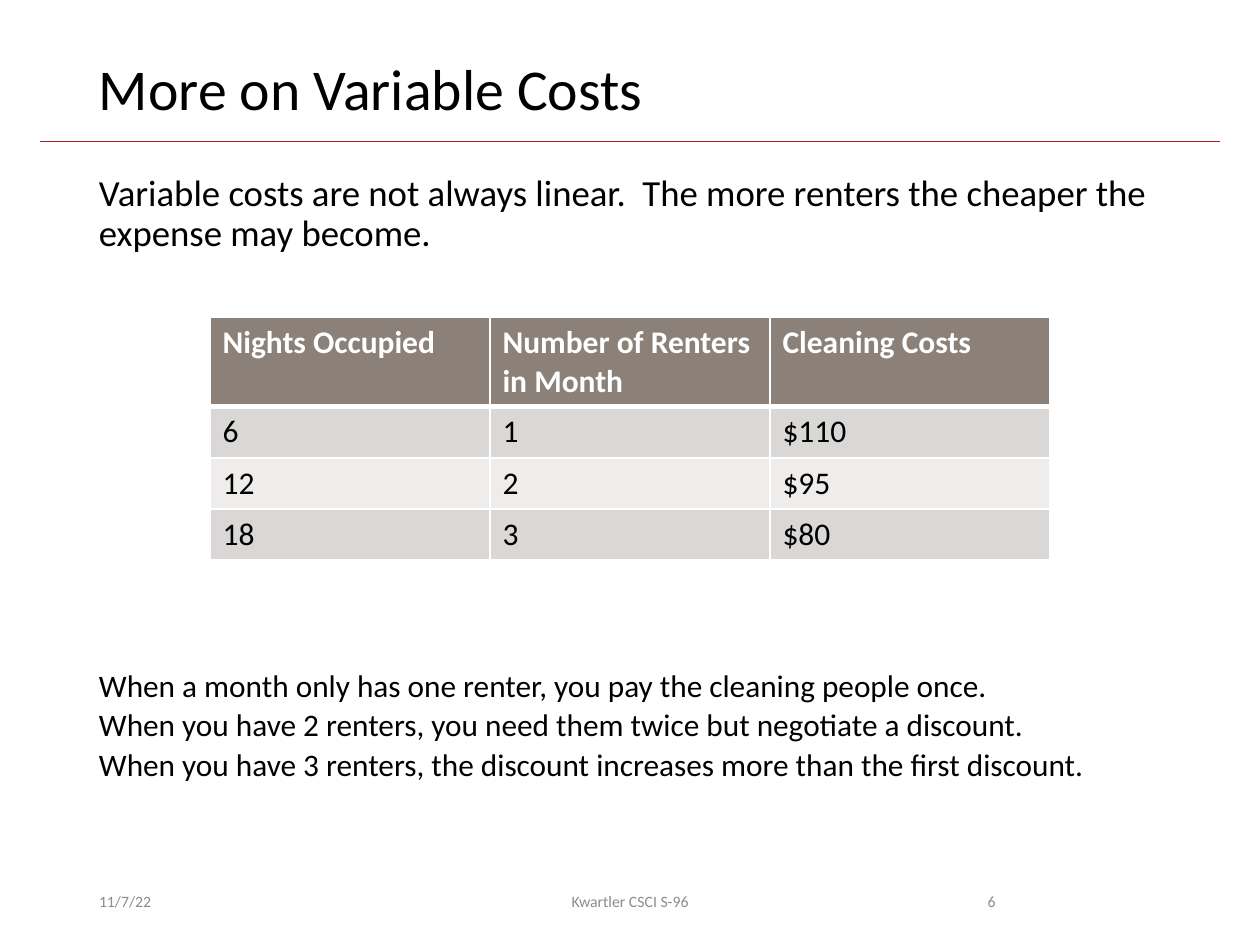
from lxml import etree
from pptx import Presentation
from pptx.dml.color import RGBColor
from pptx.enum.shapes import MSO_CONNECTOR
from pptx.enum.text import MSO_ANCHOR, PP_ALIGN
from pptx.oxml.ns import qn
from pptx.util import Pt

STRAIGHT = MSO_CONNECTOR.STRAIGHT
TOP, MIDDLE = MSO_ANCHOR.TOP, MSO_ANCHOR.MIDDLE
LEFT, CENTER, RIGHT = PP_ALIGN.LEFT, PP_ALIGN.CENTER, PP_ALIGN.RIGHT

BLACK = RGBColor(0x00, 0x00, 0x00)
WHITE = RGBColor(0xFF, 0xFF, 0xFF)
CRIMSON = RGBColor(0xA5, 0x1C, 0x30)
GRAY = RGBColor(0x8C, 0x8C, 0x8C)
TAUPE = RGBColor(0x8C, 0x81, 0x79)
BAND_DARK = RGBColor(0xDA, 0xD8, 0xD7)
BAND_LIGHT = RGBColor(0xEE, 0xED, 0xEC)

FONT = "Calibri"
MARGIN = 49.5
CONTENT_WIDTH = 621

prs = Presentation()
prs.slide_width, prs.slide_height = Pt(720), Pt(540)
slide = prs.slides.add_slide(prs.slide_layouts[6])


def style(paragraph, size, color, bold=False):
    font = paragraph.font
    font.name, font.size, font.bold = FONT, Pt(size), bold
    font.color.rgb = color


def add_text(lines, left, top, width, height, size, color=BLACK,
             anchor=TOP, align=LEFT, spacing=1.0, gap=0):
    frame = slide.shapes.add_textbox(Pt(left), Pt(top), Pt(width), Pt(height)).text_frame
    frame.word_wrap = True
    frame.vertical_anchor = anchor
    frame.text = "\n".join(lines)
    for index, paragraph in enumerate(frame.paragraphs):
        paragraph.alignment = align
        paragraph.line_spacing = spacing
        paragraph.space_before = Pt(gap if index else 0)
        style(paragraph, size, color)


title_rule = slide.shapes.add_connector(STRAIGHT, Pt(23), Pt(80.7), Pt(697), Pt(80.7))
title_rule.line.color.rgb = CRIMSON
title_rule.line.width = Pt(0.5)
etree.SubElement(title_rule._element.spPr, qn("a:effectLst"))

add_text(["More on Variable Costs"], MARGIN, 28.8, CONTENT_WIDTH, 46.8, 33,
         anchor=MIDDLE, spacing=0.9)
add_text(["Variable costs are not always linear.  The more renters the cheaper "
          "the expense may become."],
         MARGIN, 96.5, CONTENT_WIDTH, 73.5, 21, spacing=0.9)

costs = [
    ("Nights Occupied", "Number of Renters in Month", "Cleaning Costs"),
    ("6", "1", "$110"),
    ("12", "2", "$95"),
    ("18", "3", "$80"),
]
cost_table = slide.shapes.add_table(4, 3, Pt(120), Pt(181.5), Pt(480), Pt(138.5)).table
for column in cost_table.columns:
    column.width = Pt(160)
for r, values in enumerate(costs):
    header = r == 0
    cost_table.rows[r].height = Pt(50.9 if header else 29.2)
    for c, value in enumerate(values):
        cell = cost_table.cell(r, c)
        borders = {"lnL": 1, "lnR": 1, "lnT": 3 if r == 1 else 1, "lnB": 3 if header else 1}
        for side, width in borders.items():
            border = etree.SubElement(cell._tc.get_or_add_tcPr(), qn(f"a:{side}"), w=str(Pt(width)))
            border_fill = etree.SubElement(border, qn("a:solidFill"))
            etree.SubElement(border_fill, qn("a:srgbClr"), val=str(WHITE))
        cell.fill.solid()
        cell.fill.fore_color.rgb = TAUPE if header else BAND_DARK if r % 2 else BAND_LIGHT
        cell.text = value
        style(cell.text_frame.paragraphs[0], 18, WHITE if header else BLACK, header)

add_text(["When a month only has one renter, you pay the cleaning people once.",
          "When you have 2 renters, you need them twice but negotiate a discount.",
          "When you have 3 renters, the discount increases more than the first discount."],
         MARGIN, 383, CONTENT_WIDTH, 73.5, 17.9, spacing=0.7, gap=7.5)

for text, left, width, align in [
    ("11/7/22", MARGIN, 162, LEFT),
    ("Kwartler CSCI S-96", 238.5, 243, CENTER),
    ("6", 508.5, 67.5, RIGHT),
]:
    add_text([text], left, 500.5, width, 28.8, 9, GRAY, MIDDLE, align)

prs.save("out.pptx")
